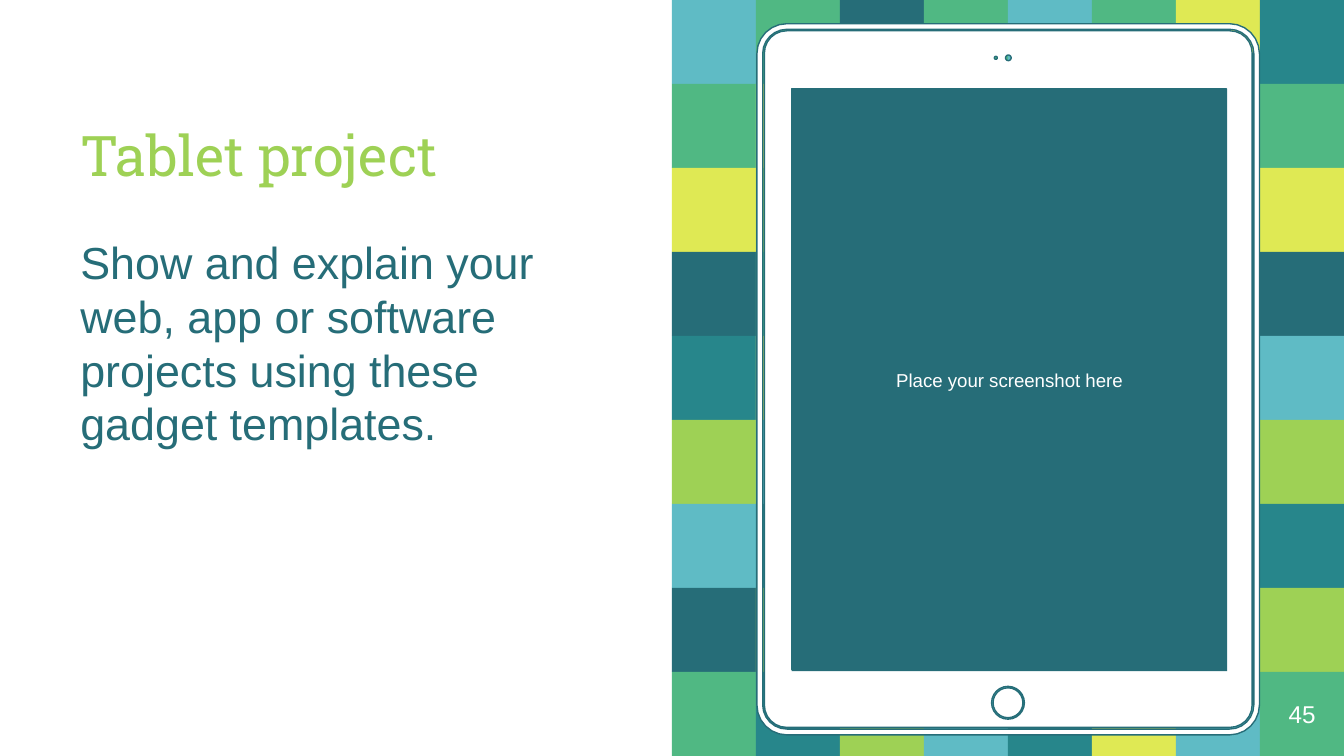
from dataclasses import dataclass
from math import cos, radians, sin

from pptx import Presentation
from pptx.dml.color import RGBColor
from pptx.enum.shapes import MSO_SHAPE as Shape
from pptx.enum.text import MSO_ANCHOR as Anchor, PP_ALIGN as Align
from pptx.util import Pt


@dataclass(frozen=True)
class Theme:
    white = RGBColor.from_string("FFFFFF")
    lime = RGBColor.from_string("9ED155")
    dark = RGBColor.from_string("266D78")
    yellow = RGBColor.from_string("DFE954")
    green = RGBColor.from_string("50B883")
    teal = RGBColor.from_string("27868B")
    sky = RGBColor.from_string("5FBBC5")
    heading_font = "Roboto Slab"
    body_font = "Arial"
    title_size = Pt(30)
    body_size = Pt(24)
    number_size = Pt(13)
    caption_size = Pt(10)


theme = Theme()


def rounded_outline(left, top, right, bottom, radius):
    """Points of a rounded rectangle, in hundredths of a point."""
    corners = [
        (right - radius, bottom - radius, 0),
        (left + radius, bottom - radius, 90),
        (left + radius, top + radius, 180),
        (right - radius, top + radius, 270),
    ]
    return [
        (100 * (x + radius * cos(radians(start + turn))),
         100 * (y + radius * sin(radians(start + turn))))
        for x, y, start in corners
        for turn in range(0, 91, 15)
    ]


def write(shape, text, font_name, size, color, align, anchor):
    frame = shape.text_frame
    frame.word_wrap = True
    frame.vertical_anchor = anchor
    frame.margin_left = frame.margin_right = Pt(7.2)
    frame.margin_top = frame.margin_bottom = Pt(7.2)
    para = frame.paragraphs[0]
    para.text = text
    para.alignment = align
    para.font.name = font_name
    para.font.size = size
    para.font.color.rgb = color
    return para


deck = Presentation()
deck.slide_width, deck.slide_height = Pt(720), Pt(405)
page = deck.slides.add_slide(deck.slide_layouts[6])

# Coloured tiles; dots are places behind the tablet
tile = 45
tile_colors = {"L": theme.lime, "D": theme.dark, "Y": theme.yellow,
               "G": theme.green, "T": theme.teal, "B": theme.sky}
tile_rows = [
    "BGDGBGYT",
    "GYTDYBTG",
    "YL....GY",
    "DG....LD",
    "TY....YB",
    "LB....GL",
    "BT....BT",
    "DLYDGDTL",
    "GTLBTYBG",
]
for row, letters in enumerate(tile_rows):
    for column, letter in enumerate(letters):
        if letter == ".":
            continue
        box = page.shapes.add_shape(
            Shape.RECTANGLE, Pt(360 + column * tile), Pt(row * tile), Pt(tile), Pt(tile))
        box.shadow.inherit = False
        box.fill.solid()
        box.fill.fore_color.rgb = tile_colors[letter]
        box.line.fill.background()

# Tablet: nested outlines, alternately filled and open
outlines = [
    rounded_outline(405.5, 12.7, 674.7, 393.7, 16),
    rounded_outline(408.6, 15.7, 671.7, 390.6, 13),
    rounded_outline(409.5, 16.5, 670.8, 389.7, 12),
    rounded_outline(423.9, 47.6, 656.9, 358.8, 0),
]
for x, y, radius in [(540, 376.5, 8.8), (540, 376.5, 8), (533.5, 31, 0.8), (540.2, 31, 1.5)]:
    outlines.append(rounded_outline(x - radius, y - radius, x + radius, y + radius, radius))

builder = page.shapes.build_freeform(*outlines[0][0], scale=Pt(1) / 100)
for index, points in enumerate(outlines):
    if index:
        builder.move_to(*points[0])
    builder.add_line_segments(points[1:], close=True)
tablet = builder.convert_to_shape()
tablet.shadow.inherit = False
tablet.fill.solid()
tablet.fill.fore_color.rgb = theme.white
tablet.line.color.rgb = theme.dark
tablet.line.width = Pt(0.75)

# Body text
body = page.shapes.add_textbox(Pt(36), Pt(118.8), Pt(278.6), Pt(257))
para = write(body, "Show and explain your web, app or software projects using these gadget templates.",
             theme.body_font, theme.body_size, theme.dark, Align.LEFT, Anchor.TOP)
para.line_spacing = Pt(28.75)

# Screen
screen = page.shapes.add_shape(Shape.RECTANGLE, Pt(424.1), Pt(47.5), Pt(233.3), Pt(312))
screen.shadow.inherit = False
screen.fill.solid()
screen.fill.fore_color.rgb = theme.dark
screen.line.fill.background()
write(screen, "Place your screenshot here", theme.body_font, theme.caption_size,
      theme.white, Align.CENTER, Anchor.MIDDLE)

# Slide number
number = page.shapes.add_textbox(Pt(675), Pt(360), Pt(tile), Pt(tile))
write(number, "45", theme.body_font, theme.number_size, theme.white, Align.CENTER, Anchor.MIDDLE)

# Title
title = page.shapes.add_textbox(Pt(36), Pt(40.5), Pt(278.6), Pt(67.5))
write(title, "Tablet project", theme.heading_font, theme.title_size, theme.lime,
      Align.LEFT, Anchor.BOTTOM)

deck.save("out.pptx")
